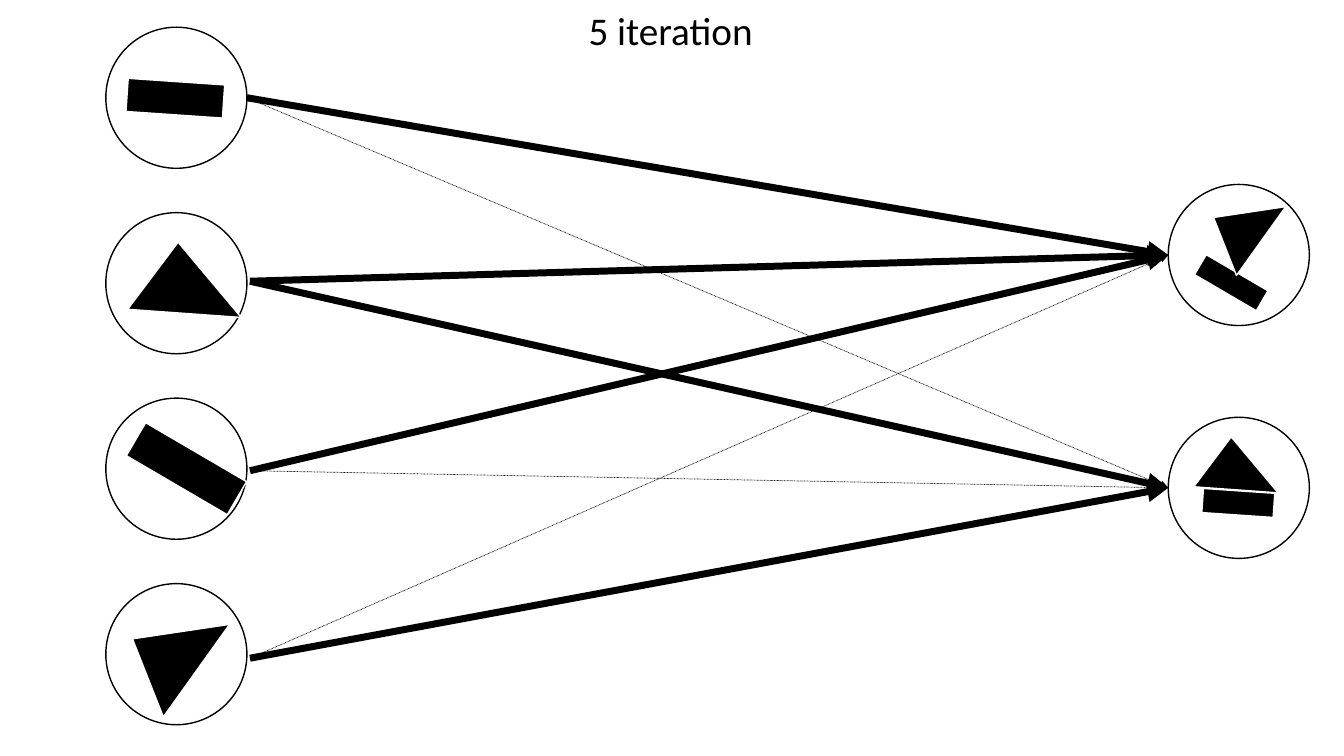
from dataclasses import dataclass
from pptx import Presentation
from pptx.dml.color import RGBColor
from pptx.enum.dml import MSO_LINE
from pptx.enum.shapes import MSO_CONNECTOR, MSO_SHAPE as SH
from pptx.enum.text import MSO_AUTO_SIZE
from pptx.oxml.ns import qn
from pptx.util import Pt
from lxml.etree import SubElement

BLACK, WHITE = "000000", "FFFFFF"
DIAMETER = 100.8
LEFT_X, LEFT_Y, LEFT_STEP = 75.6, 19.44, 132.48
RIGHT_X = 834.48
RIGHT_TOPS = (131.76, 298.08)
STARTS = ((176.4, 69.84), (178.56, 200.88), (178.56, 336.24), (178.56, 470.16))
STRONG_LINKS = {(0, 0), (1, 0), (1, 1), (2, 0), (3, 1)}


@dataclass(frozen=True)
class Glyph:
    kind: SH
    x: float
    y: float
    w: float
    h: float
    rotation: float


BAR, TRIANGLE = SH.RECTANGLE, SH.ISOSCELES_TRIANGLE
GLYPHS = (
    Glyph(BAR, 90.72, 58.32, 69.12, 23.76, 3.9),
    Glyph(TRIANGLE, 92.88, 173.52, 81.36, 50.4, 4.1),
    Glyph(BAR, 91.44, 321.12, 83.52, 27.36, 30.3),
    Glyph(TRIANGLE, 79.2, 439.2, 81.36, 50.4, 305.6),
    Glyph(BAR, 853.92, 193.68, 51.12, 16.56, 30.3),
    Glyph(TRIANGLE, 855.36, 142.56, 60.48, 37.44, 305.6),
    Glyph(BAR, 858.96, 350.64, 51.12, 17.28, 3.9),
    Glyph(TRIANGLE, 853.92, 312.48, 60.48, 37.44, 4.1),
)


def color(value: str) -> RGBColor:
    return RGBColor.from_string(value)


def add_circle(s, x: float, y: float) -> None:
    sp = s.shapes.add_shape(SH.OVAL, Pt(x), Pt(y), Pt(DIAMETER), Pt(DIAMETER))
    sp.shadow.inherit = False
    sp.fill.background()
    sp.line.color.rgb = color(BLACK)
    sp.line.width = Pt(1)


def add_glyph(s, g: Glyph) -> None:
    sp = s.shapes.add_shape(g.kind, Pt(g.x), Pt(g.y), Pt(g.w), Pt(g.h))
    sp.shadow.inherit = False
    sp.rotation = g.rotation
    if g.kind == TRIANGLE:
        sp.adjustments[0] = 0.4
    sp.fill.solid()
    sp.fill.fore_color.rgb = color(BLACK)
    sp.line.color.rgb = color(WHITE)
    sp.line.width = Pt(1)


def add_link(s, start: tuple[float, float], end: tuple[float, float], strong: bool) -> None:
    cx = s.shapes.add_connector(MSO_CONNECTOR.STRAIGHT, *map(Pt, start + end))
    cx.line.color.rgb = color(BLACK)
    cx.line.width = Pt(5 if strong else 0.5)
    if not strong:
        cx.line.dash_style = MSO_LINE.ROUND_DOT
    SubElement(cx.line._get_or_add_ln(), qn("a:tailEnd"), type="triangle")
    SubElement(cx._element.spPr, qn("a:effectLst"))


def add_title(s, text: str) -> None:
    tf = s.shapes.add_textbox(Pt(413.28), Pt(0.72), Pt(133.2), Pt(41.04)).text_frame
    for name, value in {"word_wrap": False, "auto_size": MSO_AUTO_SIZE.SHAPE_TO_FIT_TEXT}.items():
        setattr(tf, name, value)
    r = tf.paragraphs[0].add_run()
    r.text = text
    for name, value in {"name": "Calibri", "size": Pt(28)}.items():
        setattr(r.font, name, value)
    r.font.color.rgb = color(BLACK)


def main() -> None:
    prs = Presentation()
    prs.slide_width, prs.slide_height = Pt(960), Pt(540)
    s = prs.slides.add_slide(prs.slide_layouts[6])
    for i in range(len(STARTS)):
        add_circle(s, LEFT_X, LEFT_Y + i * LEFT_STEP)
    for g in GLYPHS:
        add_glyph(s, g)
    for top in RIGHT_TOPS:
        add_circle(s, RIGHT_X, top)
    for i, start in enumerate(STARTS):
        for j, top in enumerate(RIGHT_TOPS):
            add_link(s, start, (RIGHT_X, top + DIAMETER / 2), (i, j) in STRONG_LINKS)
    add_title(s, "5 iteration")
    prs.save("out.pptx")


if __name__ == "__main__":
    main()
